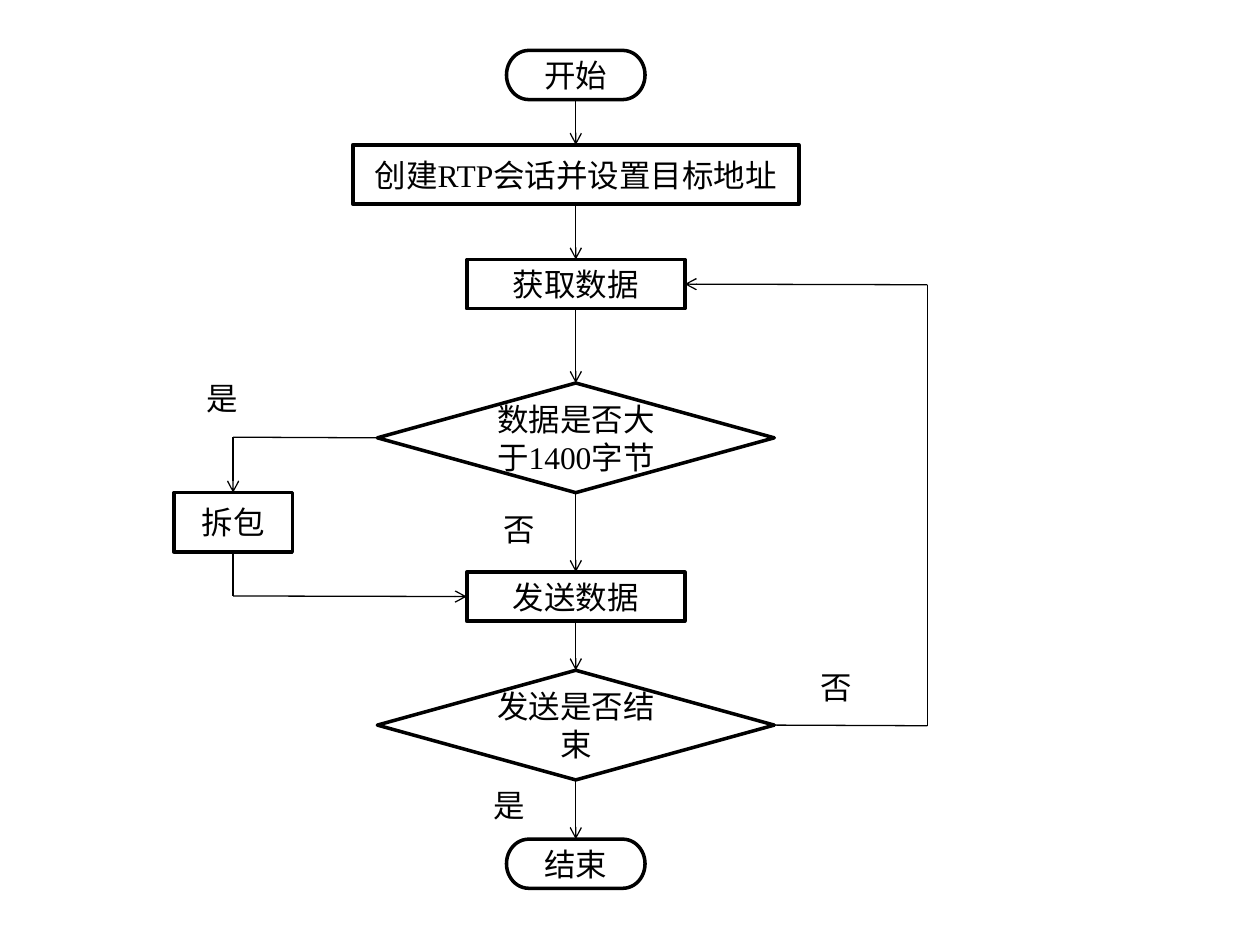
from itertools import pairwise

from pptx import Presentation
from pptx.dml.color import RGBColor
from pptx.enum.shapes import MSO_CONNECTOR as Link, MSO_SHAPE as Kind
from pptx.enum.text import MSO_ANCHOR as Anchor, MSO_AUTO_SIZE as Fit, PP_ALIGN as Align
from pptx.oxml.ns import qn
from pptx.util import Inches, Pt
from lxml.etree import SubElement

BLACK = RGBColor(0, 0, 0)
SANS, SERIF = "Calibri", "Times New Roman"
TOP, LEFT, BOTTOM, RIGHT = range(4)
MID, SIDE, LOOP = 4.57, 1.85, 7.36  # x of the main, split and return lanes


class Flow:
    edge = Pt(2)
    thin = Pt(0.75)
    font = {"size": Pt(18), "bold": False}

    def __init__(self, slide):
        self.shapes = slide.shapes

    def fill_text(self, frame, text, face, align):
        para = frame.paragraphs[0]
        para.alignment = align
        run = para.add_run()
        run.text = text
        for key, value in {**self.font, "name": face}.items():
            setattr(run.font, key, value)
        run.font.color.rgb = BLACK

    def node(self, kind, text, mid, top, size, face=SANS):
        wide, high = size
        box = self.shapes.add_shape(
            kind, Inches(mid - wide / 2), Inches(top), Inches(wide), Inches(high))
        box.shadow.inherit = False
        box.fill.background()
        box.line.color.rgb = BLACK
        box.line.width = self.edge
        box.text_frame.vertical_anchor = Anchor.MIDDLE
        self.fill_text(box.text_frame, text, face, Align.CENTER)
        return box

    def label(self, text, left, top):
        frame = self.shapes.add_textbox(
            Inches(left), Inches(top), Inches(0.39), Inches(0.4)).text_frame
        frame.word_wrap = True
        frame.auto_size = Fit.SHAPE_TO_FIT_TEXT
        self.fill_text(frame, text, SANS, Align.LEFT)

    def line(self, start, end, arrow=True):
        """Each end is a (shape, site) pair or an (x, y) point in inches."""
        points = [(0, 0) if hasattr(a, "shape_type") else (Inches(a), Inches(b))
                  for a, b in (start, end)]
        wire = self.shapes.add_connector(Link.STRAIGHT, *points[0], *points[1])
        for (item, site), join in ((start, wire.begin_connect), (end, wire.end_connect)):
            if hasattr(item, "shape_type"):
                join(item, site)
        wire.line.color.rgb = BLACK
        wire.line.width = self.thin
        props = wire._element.spPr
        if arrow:
            SubElement(props.find(qn("a:ln")), qn("a:tailEnd"), type="arrow")
        SubElement(props, qn("a:effectLst"))

    def route(self, *stops):
        """Straight pieces through all stops, with an arrow on the last."""
        for start, end in pairwise(stops):
            self.line(start, end, arrow=end is stops[-1])


def main():
    deck = Presentation()
    deck.slide_width, deck.slide_height = Inches(10), Inches(7.5)
    flow = Flow(deck.slides.add_slide(deck.slide_layouts[6]))

    # Main lane, top to bottom
    cap, step, test = (1.1, 0.39), (1.73, 0.39), (3.15, 0.87)
    rows = [
        (Kind.FLOWCHART_TERMINATOR, "开始", 0.4, cap, SANS),
        (Kind.FLOWCHART_PROCESS, "创建RTP会话并设置目标地址", 1.15, (3.54, 0.47), SERIF),
        (Kind.FLOWCHART_PROCESS, "获取数据", 2.06, step, SANS),
        (Kind.FLOWCHART_DECISION, "数据是否大于1400字节", 3.04, test, SERIF),
        (Kind.FLOWCHART_PROCESS, "发送数据", 4.54, step, SANS),
        (Kind.FLOWCHART_DECISION, "发送是否结束", 5.32, test, SANS),
        (Kind.FLOWCHART_TERMINATOR, "结束", 6.66, cap, SANS),
    ]
    lane = [flow.node(kind, text, MID, top, size, face)
            for kind, text, top, size, face in rows]
    for upper, lower in pairwise(lane):
        flow.line((upper, BOTTOM), (lower, TOP))
    fetch, large, send, done = lane[2:6]

    # Split branch on the left
    split = flow.node(Kind.FLOWCHART_PROCESS, "拆包", SIDE, 3.91, (0.94, 0.47))
    flow.route((large, LEFT), (SIDE, 3.47), (split, TOP))
    flow.route((split, BOTTOM), (SIDE, 4.73), (send, LEFT))

    # Return loop on the right
    flow.route((done, RIGHT), (LOOP, 5.76), (LOOP, 2.26), (fetch, RIGHT))

    # Branch labels
    for text, left, top in (("是", 1.54, 2.96), ("是", 3.82, 6.19),
                            ("否", 3.9, 4), ("否", 6.41, 5.25)):
        flow.label(text, left, top)

    deck.save("out.pptx")


if __name__ == "__main__":
    main()
